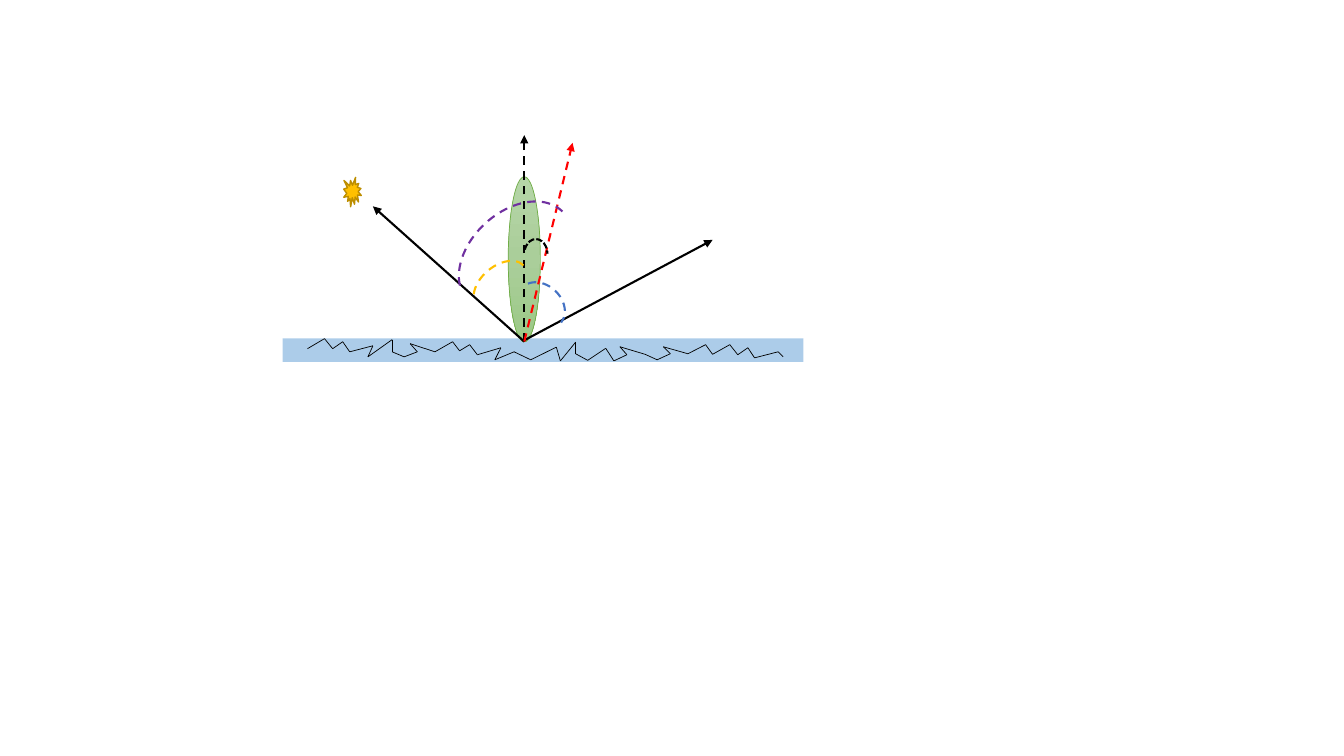
from copy import deepcopy
from itertools import pairwise

from pptx import Presentation
from pptx.dml.color import RGBColor
from pptx.enum import dml, shapes
from pptx.oxml.ns import qn
from pptx.util import Pt
from lxml import etree

HUES = {
    "black": "000000", "red": "FF0000", "gold": "FFC000", "rust": "BD8E00",
    "blue": "4472C4", "ice": "5B9BD5", "violet": "7030A0", "green": "70AD47",
    "pale": "B5D5A7", "mid": "AACE9A", "deep": "9CC987",
}
DASH = dml.MSO_LINE.DASH
DOTS = dml.MSO_LINE.SQUARE_DOT
KIND = shapes.MSO_SHAPE

CRACK = [
    (219.6, 249.1), (231.8, 241.9), (237.6, 249.1), (244.8, 244.1),
    (249.8, 251.3), (266.4, 247), (262.8, 254.9), (280.1, 242.6),
    (280.1, 251.3), (288.7, 254.9), (298.1, 251.3), (293, 245.5),
    (310.7, 251.3), (323.3, 244.1), (328.3, 250.6), (335.5, 246.2),
    (341, 253.4), (357.8, 248.4), (353.5, 257), (367.2, 251.3),
    (379.1, 257), (397.4, 248), (400.3, 257.8), (411.2, 244.4),
    (411.2, 252.7), (419.8, 257.4), (432.7, 248.8), (438.5, 257.8),
    (447.8, 253.4), (442.8, 247.7), (460.8, 253.1), (469.4, 257),
    (478.8, 252.7), (473.8, 247.7), (491.4, 252.7), (504, 246.2),
    (509, 253.1), (521.3, 246.2), (527, 253.4), (534.2, 248.4),
    (539, 255.6), (555.8, 251.3), (559.4, 254.9),
]


class Board:
    """Holds the slide and the style of its elements."""

    def __init__(self, slide):
        self.slide = slide
        self.root = slide.shapes

    def hue(self, name):
        return RGBColor.from_string(HUES[name])

    def pen(self, line, hue, width, dash=None):
        line.color.rgb = self.hue(hue)
        line.width = Pt(width)
        if dash:
            line.dash_style = dash

    def form(self, kind, box, fill=None, edge=None, width=1, dash=None,
             alpha=None, turn=0, home=None):
        item = (home or self.root).add_shape(kind, *map(Pt, box))
        item.shadow.inherit = False
        item.rotation = turn
        if fill:
            item.fill.solid()
            item.fill.fore_color.rgb = self.hue(fill)
        else:
            item.fill.background()
        if alpha:
            tint = item._element.spPr.find(".//" + qn("a:srgbClr"))
            etree.SubElement(tint, qn("a:alpha"), val=str(alpha * 1000))
        if edge:
            self.pen(item.line, edge, width, dash)
        else:
            item.line.fill.background()
        return item

    def fade(self, item, hues):
        """Fills from top to bottom with evenly spaced colours."""
        item.fill.gradient()
        item.fill.gradient_angle = 270
        stops = item._element.spPr.find(".//" + qn("a:gsLst"))
        while len(stops) < len(hues):
            stops.append(deepcopy(stops[0]))
        for i, (stop, name) in enumerate(zip(item.fill.gradient_stops, hues)):
            stop.position = i / (len(hues) - 1)
            stop.color.rgb = self.hue(name)

    def arc(self, box, span, hue, turn=0, dash=DASH):
        item = self.form(KIND.ARC, box, edge=hue, width=1.5, dash=dash,
                         turn=turn)
        item.adjustments[0], item.adjustments[1] = span

    def line(self, start, end, hue="black", width=0.5, dash=None, tip=False,
             home=None):
        item = (home or self.root).add_connector(
            shapes.MSO_CONNECTOR.STRAIGHT, *map(Pt, start + end))
        self.pen(item.line, hue, width, dash)
        if tip:
            etree.SubElement(item.line._get_or_add_ln(), qn("a:tailEnd"),
                             type="triangle")
        etree.SubElement(item._element.spPr, qn("a:effectLst"))

    def ray(self, start, end, hue="black", dash=None):
        self.line(start, end, hue, 1.5, dash, tip=True)

    def ground(self):
        home = self.root.add_group_shape().shapes
        self.form(KIND.RECTANGLE, (201.8, 241.7, 372, 16.8), "ice",
                  alpha=50, home=home)
        for start, end in pairwise(CRACK):
            self.line(start, end, home=home)


def main():
    deck = Presentation()
    deck.slide_width, deck.slide_height = Pt(960), Pt(540)
    board = Board(deck.slides.add_slide(deck.slide_layouts[6]))
    foot = (374.5, 244)

    board.ground()
    leaf = board.form(KIND.OVAL, (363, 126.2, 23, 118), edge="green",
                      width=0.5)
    board.fade(leaf, ["pale", "mid", "deep"])

    board.ray(foot, (374.5, 96.5), dash=DASH)
    board.ray(foot, (266.4, 147.4))
    board.ray((373.3, 243.7), (509, 171.4))
    board.form(KIND.EXPLOSION1, (245.5, 126.7, 12.6, 21), "gold", "rust")
    board.ray(foot, (409, 102), "red", DASH)

    board.arc((335.5, 190.1, 44, 28), (121.5, 0), "gold", 319.8)
    board.arc((368, 203.8, 37.4, 28.8), (117.09, 214.61), "blue", 43.3)
    board.arc((374.5, 170.8, 16.6, 21.6), (121.5, 214.61), "black", dash=DOTS)
    board.arc((321.8, 151.2, 92.9, 64.1), (117.09, 0.4), "violet", 317.3)
    deck.save("out.pptx")


if __name__ == "__main__":
    main()
